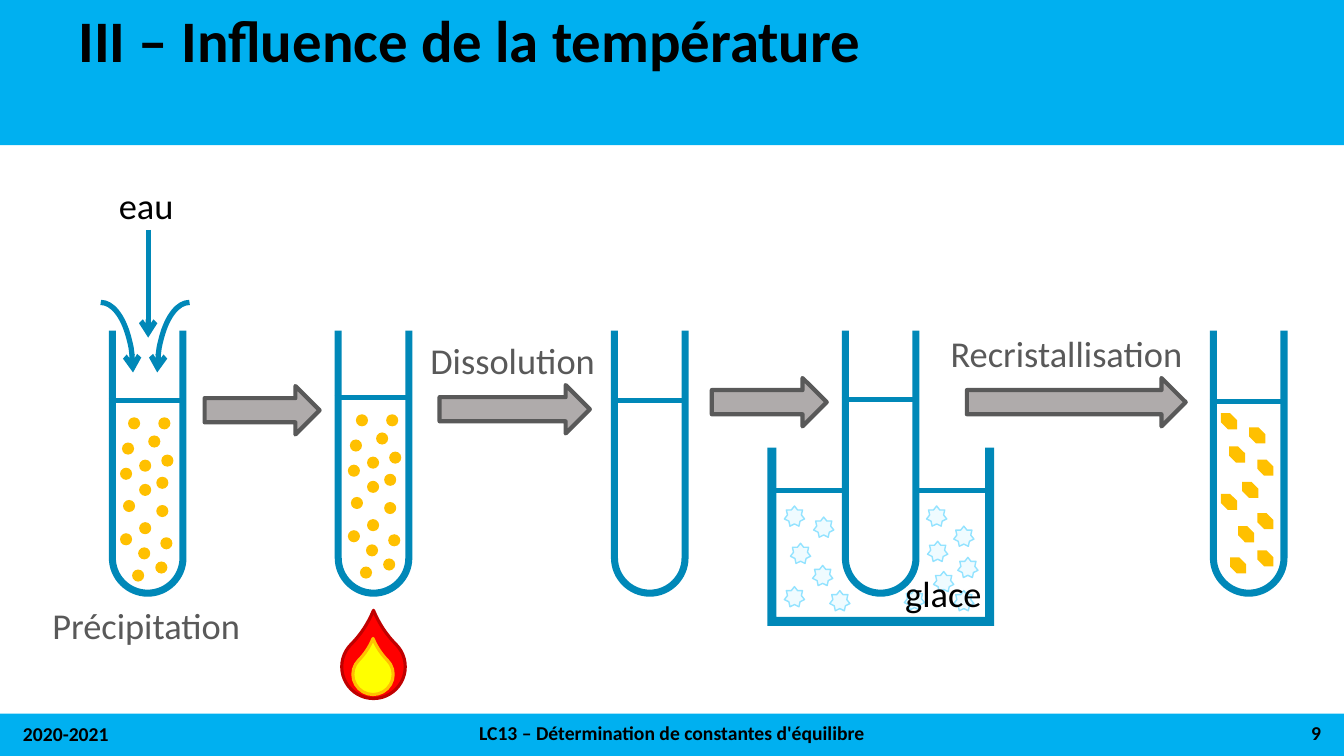
from lxml.etree import SubElement
from pptx import Presentation
from pptx.dml.color import RGBColor
from pptx.enum.shapes import MSO_CONNECTOR, MSO_SHAPE
from pptx.enum.text import MSO_ANCHOR, PP_ALIGN
from pptx.oxml import parse_xml
from pptx.oxml.ns import nsdecls, qn
from pptx.util import Inches, Pt

W, H = 13.33, 7.5
FONT = "Calibri"
COLORS = {
    "band": "00B0F0", "glass": "0088B8", "solid": "FFC000", "text": "000000",
    "label": "595959", "arrow": "AFABAB", "ice": "EFFBFF", "ice_edge": "93E3FF",
    "fire": "FF0000", "fire_edge": "C00000", "core": "FFFF00",
}
TUBE_W, TUBE_H, WALL = 0.77, 2.64, 0.07
TUBE_Y = 3.28
BEAD, CRYSTAL, STAR = 0.12, 0.16, 0.2
ROUND = 0.55  # handle length of a quarter circle, as a share of its radius

# Offsets from the top left corner of the tube or the ice bath
BEADS = [(0.13, 1.11), (0.30, 1.28), (0.47, 1.45), (0.30, 1.52), (0.52, 1.23),
         (0.39, 1.04), (0.19, 0.86), (0.49, 0.86), (0.47, 1.73), (0.11, 1.36),
         (0.14, 1.68), (0.30, 1.90), (0.51, 2.05), (0.11, 2.01), (0.29, 2.15),
         (0.46, 2.29), (0.23, 2.37)]
CRYSTALS = [(0.11, 0.82), (0.19, 1.15), (0.39, 0.96), (0.47, 1.28), (0.32, 1.50),
            (0.11, 1.62), (0.47, 1.81), (0.28, 1.94), (0.47, 2.18), (0.20, 2.25)]
STARS = [(0.17, 0.58), (0.46, 0.69), (0.23, 0.95), (0.45, 1.17), (0.17, 1.38),
         (1.58, 0.58), (1.85, 0.78), (1.59, 0.93), (0.62, 1.42), (1.36, 1.41),
         (1.65, 1.23), (1.89, 1.09), (1.85, 1.42)]


def rgb(name):
    return RGBColor.from_string(COLORS[name])


def style(sp, fill=None, line=None, width=1):
    sp.shadow.inherit = False
    if fill:
        sp.fill.solid()
        sp.fill.fore_color.rgb = rgb(fill)
    else:
        sp.fill.background()
    if line:
        sp.line.color.rgb = rgb(line)
        sp.line.width = Pt(width)
    else:
        sp.line.fill.background()
    return sp


def add(shapes, kind, x, y, w, h, *look):
    sp = shapes.add_shape(kind, Inches(x), Inches(y), Inches(w), Inches(h))
    return style(sp, *look)


def add_tip(sp):
    """Put an open arrowhead at the end of a line."""
    SubElement(sp.line._get_or_add_ln(), qn("a:tailEnd"), type="arrow")


def add_line(shapes, x1, y1, x2, y2):
    cn = shapes.add_connector(MSO_CONNECTOR.STRAIGHT, Inches(x1), Inches(y1),
                              Inches(x2), Inches(y2))
    cn.line.color.rgb = rgb("glass")
    cn.line.width = Pt(3.75)
    SubElement(cn._element.spPr, qn("a:effectLst"))
    return cn


def add_outline(shapes, start, segments):
    """Closed outline; a segment of one point is a line, of three a curve."""
    fb = shapes.build_freeform(*map(Inches, start), scale=1.0)
    fb.add_line_segments([(Inches(x), Inches(y)) for seg in segments for x, y in seg],
                         close=True)
    sp = style(fb.convert_to_shape(), "glass")
    steps = iter(list(sp._element.spPr.iter(qn("a:lnTo"))))
    for seg in segments:
        group = [next(steps) for _ in seg]
        if len(seg) == 3:
            curve = parse_xml(f"<a:cubicBezTo {nsdecls('a')}/>")
            group[0].addprevious(curve)
            for step in group:
                curve.append(step[0])
                step.getparent().remove(step)
    return sp


def write(tf, text, size, color, bold=False, align=PP_ALIGN.LEFT):
    tf.word_wrap = True
    tf.vertical_anchor = MSO_ANCHOR.MIDDLE
    p = tf.paragraphs[0]
    p.text, p.alignment = text, align
    p.font.name, p.font.size, p.font.bold = FONT, Pt(size), bold
    p.font.color.rgb = rgb(color)
    return p


def add_text(s, box, *look):
    tb = s.shapes.add_textbox(*map(Inches, box))
    write(tb.text_frame, *look)


def frame(s):
    """Colour bands, title and footer."""
    for y, h in ((-0.01, 1.45), (7.08, 0.42)):
        add(s.shapes, MSO_SHAPE.RECTANGLE, 0, y, W, h, "band")
    title = s.shapes.title
    title.left, title.top, title.width, title.height = map(
        Inches, (0.68, 0.11, 11.74, 0.65))
    p = write(title.text_frame, "III – Influence de la température", 42, "text", True)
    p.line_spacing = 0.9
    s.shapes._spTree.append(title._element)  # in front of the bands
    for x, y, w, text, align in (
            (0.13, 7.08, 3, "2020-2021", PP_ALIGN.LEFT),
            (3.13, 7.07, 7.07, "LC13 – Détermination de constantes d'équilibre",
             PP_ALIGN.CENTER),
            (10.2, 7.07, 3, "9", PP_ALIGN.RIGHT)):
        add_text(s, (x, y, w, 0.4), text, 14, "text", True, align)


def tube(shapes, x, y, level=0.69):
    cx, cy = x + TUBE_W / 2, y + TUBE_H - TUBE_W / 2

    def bottom(r):
        """Half circle; r < 0 runs it from right to left."""
        depth, handle = abs(r), ROUND * r
        return [[(cx - r, cy)],
                [(cx - r, cy + ROUND * depth), (cx - handle, cy + depth),
                 (cx, cy + depth)],
                [(cx + handle, cy + depth), (cx + r, cy + ROUND * depth),
                 (cx + r, cy)]]

    add_outline(shapes, (x, y), [
        [(x + WALL, y)], *bottom(TUBE_W / 2 - WALL),
        [(x + TUBE_W - WALL, y)], [(x + TUBE_W, y)], *bottom(-TUBE_W / 2)])
    add_line(shapes, x, y + level, x + TUBE_W - 0.05, y + level)


def scatter(shapes, kind, x, y, offsets, size, *look):
    return [add(shapes, kind, x + dx, y + dy, size, size, *look)
            for dx, dy in offsets]


def bead_tube(s, x, y, shift_x=0, shift_y=0):
    shapes = s.shapes.add_group_shape().shapes
    tube(shapes, x, y, 0.69 + shift_y)
    scatter(shapes, MSO_SHAPE.OVAL, x + shift_x, y + shift_y, BEADS, BEAD, "solid")


def crystal_tube(s, x, y):
    shapes = s.shapes.add_group_shape().shapes
    tube(shapes, x, y, 0.7)
    for sp in scatter(shapes, MSO_SHAPE.SNIP_2_DIAG_RECTANGLE, x, y, CRYSTALS,
                      CRYSTAL, "solid"):
        sp.adjustments[0], sp.adjustments[1] = 0, 0.431


def ice_bath(s, x, y, w, h):
    """Bath of ice with a tube standing in it."""
    shapes = s.shapes.add_group_shape().shapes
    tube_x, wall, level = x + 0.74, 0.09, y + 0.43
    tube(shapes, tube_x, TUBE_Y, 0.68)
    right, bottom = x + w, y + h
    corners = [(x + wall, y), (x + wall, bottom - wall),
               (right - wall, bottom - wall), (right - wall, y),
               (right, y), (right, bottom), (x, bottom)]
    add_outline(shapes, (x, y), [[corner] for corner in corners])
    add_line(shapes, x + 0.05, level, tube_x + 0.03, level)
    add_line(shapes, tube_x + TUBE_W, level, right - 0.03, level)
    scatter(shapes, MSO_SHAPE.STAR_7_POINT, x, y, STARS, STAR, "ice", "ice_edge", 1)


def flame(s, x, y):
    shapes = s.shapes.add_group_shape().shapes
    for dx, dy, size, fill, edge in ((0, 0, 0.63, "fire", "fire_edge"),
                                     (0.11, 0.19, 0.4, "core", "solid")):
        drop = add(shapes, MSO_SHAPE.TEAR, x + dx, y + dy, size, size, fill, edge, 2.25)
        drop.adjustments[0] = 1.258
        drop.rotation = 315


def water(s, x, y):
    """Three arrows pouring into the tube whose axis is x."""
    for left, flip in ((x - 0.79, False), (x + 0.09, True)):
        arc = add(s.shapes, MSO_SHAPE.ARC, left, y + 0.72, 0.64, 1.39,
                  None, "glass", 3.75)
        add_tip(arc)
        if flip:
            arc._element.spPr.find(qn("a:xfrm")).set("flipH", "1")
    add_tip(add_line(s.shapes, x, y, x, y + 1.07))


def labels(s):
    for box, text, color in (
            ((1.08, 1.84, 0.87, 0.39), "eau", "text"),
            ((0.42, 5.87, 2.18, 0.66), "Précipitation", "label"),
            ((9.33, 3.26, 2.61, 0.48), "Recristallisation", "label"),
            ((4.17, 3.35, 1.84, 0.44), "Dissolution", "label"),
            ((8.88, 5.49, 1.17, 0.79), "glace", "text")):
        add_text(s, box, text, 26, color)


def step_arrows(s):
    for x, y, w in ((2.03, 3.83, 1.14), (4.36, 3.82, 1.49),
                    (7.06, 3.75, 1.14), (9.59, 3.75, 2.17)):
        add(s.shapes, MSO_SHAPE.RIGHT_ARROW, x, y, w, 0.48, "arrow", "label", 3)


def main():
    prs = Presentation()
    prs.slide_width, prs.slide_height = Inches(W), Inches(H)
    s = prs.slides.add_slide(prs.slide_layouts[5])
    frame(s)
    flame(s, 3.39, 6.3)
    water(s, 1.47, 2.28)
    bead_tube(s, 1.08, TUBE_Y)
    bead_tube(s, 3.32, TUBE_Y, 0.02, -0.03)
    tube(s.shapes.add_group_shape().shapes, 6.06, TUBE_Y)
    ice_bath(s, 7.61, 4.44, 2.25, 1.77)
    crystal_tube(s, 12, TUBE_Y)
    labels(s)
    step_arrows(s)
    prs.save("out.pptx")


if __name__ == "__main__":
    main()
